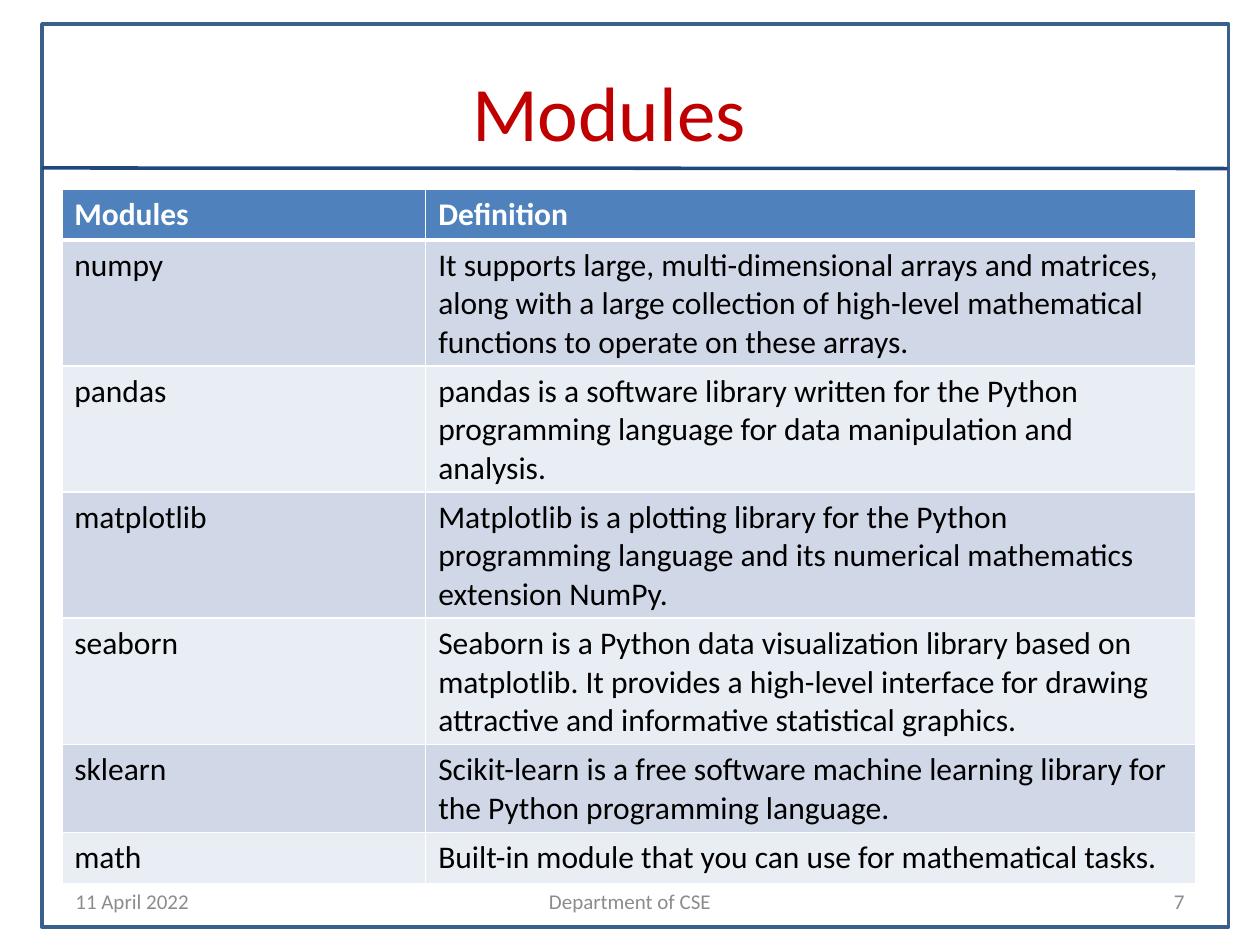
from dataclasses import dataclass

from lxml.etree import SubElement
from pptx import Presentation
from pptx.dml.color import RGBColor
from pptx.enum.shapes import MSO_CONNECTOR, MSO_SHAPE
from pptx.enum.text import MSO_ANCHOR, PP_ALIGN
from pptx.oxml.ns import qn
from pptx.util import Pt

COLORS = {
    "frame": "3A5F8C",
    "rule": "1F497D",
    "title": "C00000",
    "footer": "8C8C8C",
    "header": "4F81BD",
    "odd_row": "D0D8E8",
    "even_row": "E9EDF4",
    "white": "FFFFFF",
    "black": "000000",
}
MODULES = [
    ("Modules", "Definition"),
    ("numpy", "It supports large, multi-dimensional arrays and matrices, along with a large "
              "collection of high-level mathematical functions to operate on these arrays."),
    ("pandas", "pandas is a software library written for the Python programming language "
               "for data manipulation and analysis."),
    ("matplotlib", "Matplotlib is a plotting library for the Python programming language "
                   "and its numerical mathematics extension NumPy."),
    ("seaborn", "Seaborn is a Python data visualization library based on matplotlib. It provides "
                "a high-level interface for drawing attractive and informative statistical graphics."),
    ("sklearn", "Scikit-learn is a free software machine learning library for the Python "
                "programming language."),
    ("math", "Built-in module that you can use for mathematical tasks."),
]
COLUMN_WIDTHS = (208, 440)
ROW_HEIGHT = 29.2


@dataclass
class Label:
    text: str
    left: float
    top: float
    width: float
    height: float
    size: float
    color: str
    alignment: PP_ALIGN


LABELS = [
    Label("Modules", 24, 18, 648, 90, 44, "title", PP_ALIGN.CENTER),
    Label("11 April 2022", 36, 500.5, 168, 28.75, 12, "footer", PP_ALIGN.LEFT),
    Label("Department of CSE", 246, 500.5, 228, 28.75, 12, "footer", PP_ALIGN.CENTER),
    Label("7", 516, 500.5, 168, 28.75, 12, "footer", PP_ALIGN.RIGHT),
]


def rgb(name: str) -> RGBColor:
    return RGBColor.from_string(COLORS[name])


def style_text(paragraph, size: float, color: str, bold: bool = False) -> None:
    font_format = {"name": "Calibri", "size": Pt(size), "bold": bold}
    for attribute, value in font_format.items():
        setattr(paragraph.font, attribute, value)
    paragraph.font.color.rgb = rgb(color)


def style_line(line, color: str) -> None:
    line.color.rgb = rgb(color)
    line.width = Pt(2)


def add_frame(slide) -> None:
    """Draw the slide border and the rule under the title."""
    frame = slide.shapes.add_shape(MSO_SHAPE.RECTANGLE, Pt(24), Pt(13.7), Pt(678), Pt(516))
    frame.shadow.inherit = False
    frame.fill.background()
    style_line(frame.line, "frame")
    rule = slide.shapes.add_connector(MSO_CONNECTOR.STRAIGHT, Pt(24), Pt(96), Pt(701.5), Pt(96.3))
    style_line(rule.line, "rule")
    SubElement(rule._element.spPr, qn("a:effectLst"))


def add_label(slide, label: Label) -> None:
    box = slide.shapes.add_textbox(
        Pt(label.left), Pt(label.top), Pt(label.width), Pt(label.height))
    text_frame = box.text_frame
    text_frame.word_wrap = True
    text_frame.vertical_anchor = MSO_ANCHOR.MIDDLE
    paragraph = text_frame.paragraphs[0]
    paragraph.text = label.text
    paragraph.alignment = label.alignment
    style_text(paragraph, label.size, label.color)


def set_borders(cell, widths: dict[str, float]) -> None:
    """Add white borders; they must precede the fill in the cell properties."""
    properties = cell._tc.get_or_add_tcPr()
    for side, width in widths.items():
        border = SubElement(properties, qn(f"a:{side}"), w=str(Pt(width)))
        fill = SubElement(border, qn("a:solidFill"))
        SubElement(fill, qn("a:srgbClr"), val=COLORS["white"])


def add_module_table(slide) -> None:
    table = slide.shapes.add_table(
        len(MODULES), len(COLUMN_WIDTHS), Pt(35.3), Pt(108),
        Pt(sum(COLUMN_WIDTHS)), Pt(ROW_HEIGHT * len(MODULES))).table
    for column, width in zip(table.columns, COLUMN_WIDTHS):
        column.width = Pt(width)
    for row_index, texts in enumerate(MODULES):
        is_header = row_index == 0
        fill = "header" if is_header else "odd_row" if row_index % 2 else "even_row"
        borders = {"lnL": 1, "lnR": 1, "lnT": 3 if row_index == 1 else 1,
                   "lnB": 3 if is_header else 1}
        for column_index, text in enumerate(texts):
            cell = table.cell(row_index, column_index)
            cell.text = text
            style_text(cell.text_frame.paragraphs[0], 18,
                       "white" if is_header else "black", is_header)
            set_borders(cell, borders)
            cell.fill.solid()
            cell.fill.fore_color.rgb = rgb(fill)


def main() -> None:
    presentation = Presentation()
    presentation.slide_width = Pt(720)
    presentation.slide_height = Pt(540)
    slide = presentation.slides.add_slide(presentation.slide_layouts[6])
    add_frame(slide)
    for label in LABELS:
        add_label(slide, label)
    add_module_table(slide)
    presentation.save("out.pptx")


if __name__ == "__main__":
    main()
